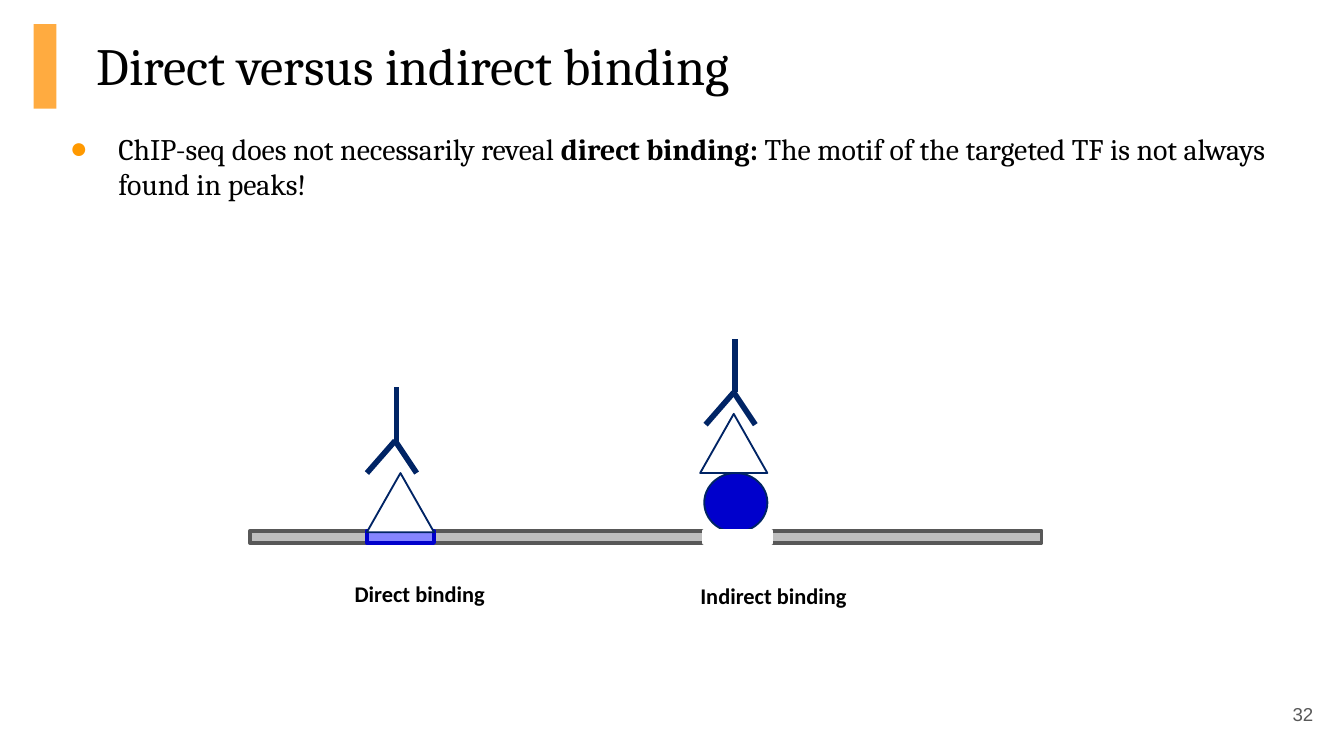
from dataclasses import dataclass

import pptx
import pptx.dml.color
import pptx.enum.shapes
import pptx.enum.text
import pptx.oxml.ns
import pptx.util
from lxml import etree

Inches = pptx.util.Inches
Pt = pptx.util.Pt
RGBColor = pptx.dml.color.RGBColor
Shape = pptx.enum.shapes.MSO_SHAPE
Align = pptx.enum.text.PP_ALIGN
Anchor = pptx.enum.text.MSO_ANCHOR
qn = pptx.oxml.ns.qn

BLACK = RGBColor(0x00, 0x00, 0x00)
WHITE = RGBColor(0xFF, 0xFF, 0xFF)
ORANGE = RGBColor(0xFF, 0xAB, 0x40)
BULLET_ORANGE = RGBColor(0xFF, 0x99, 0x00)
NAVY = RGBColor(0x00, 0x24, 0x65)
BLUE = RGBColor(0x00, 0x00, 0xCC)
LIGHT_BLUE = RGBColor(0x85, 0x85, 0xFF)
SILVER = RGBColor(0xBF, 0xBF, 0xBF)
GRAY = RGBColor(0x58, 0x58, 0x58)


@dataclass(frozen=True)
class Box:
    left: float
    top: float
    width: float
    height: float

    def lengths(self) -> list:
        return [Inches(v) for v in (self.left, self.top, self.width, self.height)]


@dataclass(frozen=True)
class Part:
    kind: Shape
    box: Box
    fill: RGBColor
    line: RGBColor | None = None
    line_width: float = 0


@dataclass(frozen=True)
class Label:
    text: str
    box: Box
    font: str
    size: float
    color: RGBColor
    bold: bool = False
    inset: float = 0.04
    anchor: Anchor = Anchor.TOP


@dataclass(frozen=True)
class Antibody:
    """A Y turned upside down, placed by the point where its arms meet."""
    x: float
    y: float


DNA_TOP, DNA_HEIGHT = 3.95, 0.09
FACTOR_TOP, FACTOR_HEIGHT = 3.52, 0.44

PARTS = [
    Part(Shape.RECTANGLE, Box(0.25, 0.18, 0.17, 0.63), ORANGE),
    Part(Shape.RECTANGLE, Box(1.86, DNA_TOP, 5.89, DNA_HEIGHT), SILVER, GRAY, 2),
    Part(Shape.RECTANGLE, Box(2.73, DNA_TOP, 0.5, DNA_HEIGHT), LIGHT_BLUE, BLUE, 2),
    Part(Shape.ISOSCELES_TRIANGLE, Box(2.73, FACTOR_TOP, 0.5, FACTOR_HEIGHT), WHITE, NAVY, 1),
    Part(Shape.OVAL, Box(5.24, FACTOR_TOP, 0.47, FACTOR_HEIGHT), BLUE, NAVY, 1),
    Part(Shape.RECTANGLE, Box(5.24, DNA_TOP, 0.5, DNA_HEIGHT), WHITE, WHITE, 2),
    Part(Shape.ISOSCELES_TRIANGLE, Box(5.21, FACTOR_TOP - FACTOR_HEIGHT, 0.5, FACTOR_HEIGHT),
         WHITE, NAVY, 1),
]
LABELS = [
    Label("Direct binding", Box(2.38, 4.28, 1.27, 0.27), "Calibri", 12, BLACK, bold=True),
    Label("Indirect binding", Box(4.95, 4.29, 1.39, 0.27), "Calibri", 12, BLACK, bold=True),
    Label("32", Box(9.5, 5.14, 0.37, 0.35), "Arial", 10, GRAY, inset=0.1, anchor=Anchor.MIDDLE),
]
ANTIBODIES = [Antibody(2.94, 3.28), Antibody(5.46, 2.92)]


def set_frame(frame, inset: float, anchor: Anchor = Anchor.TOP) -> None:
    frame.word_wrap = True
    frame.auto_size = pptx.enum.text.MSO_AUTO_SIZE.NONE
    frame.vertical_anchor = anchor
    frame.margin_left = frame.margin_right = Inches(inset)
    frame.margin_top = frame.margin_bottom = Inches(inset)


def set_font(paragraph, name: str, size: float, color: RGBColor) -> None:
    paragraph.font.name = name
    paragraph.font.size = Pt(size)
    paragraph.font.color.rgb = color


def add_title(slide, text: str, box: Box) -> None:
    title = slide.shapes.title
    title.left, title.top, title.width, title.height = box.lengths()
    set_frame(title.text_frame, 0.1)
    title.text_frame.text = text
    paragraph = title.text_frame.paragraphs[0]
    paragraph.alignment = Align.LEFT
    set_font(paragraph, "Cambria", 28, BLACK)


def add_statement(slide, box: Box, runs: list[tuple[str, bool]]) -> None:
    """Add a bulleted paragraph made of (text, bold) runs."""
    frame = slide.shapes.add_textbox(*box.lengths()).text_frame
    set_frame(frame, 0.04)
    paragraph = frame.paragraphs[0]
    properties = paragraph._p.get_or_add_pPr()
    properties.set("marL", str(Inches(0.5)))
    properties.set("indent", str(Inches(-0.36)))
    color = etree.SubElement(properties, qn("a:buClr"))
    etree.SubElement(color, qn("a:srgbClr"), val=str(BULLET_ORANGE))
    etree.SubElement(properties, qn("a:buFont"), typeface="Arial")
    etree.SubElement(properties, qn("a:buChar"), char="●")
    set_font(paragraph, "Cambria", 16, BLACK)
    for text, bold in runs:
        run = paragraph.add_run()
        run.text = text
        run.font.bold = bold


def add_part(slide, part: Part) -> None:
    shape = slide.shapes.add_shape(part.kind, *part.box.lengths())
    shape.shadow.inherit = False
    shape.fill.solid()
    shape.fill.fore_color.rgb = part.fill
    if part.line is None:
        shape.line.fill.background()
    else:
        shape.line.color.rgb = part.line
        shape.line.width = Pt(part.line_width)


def add_label(slide, label: Label) -> None:
    frame = slide.shapes.add_textbox(*label.box.lengths()).text_frame
    set_frame(frame, label.inset, label.anchor)
    frame.text = label.text
    paragraph = frame.paragraphs[0]
    paragraph.alignment = Align.RIGHT
    set_font(paragraph, label.font, label.size, label.color)
    paragraph.font.bold = label.bold


def add_antibody(slide, antibody: Antibody) -> None:
    x, y = antibody.x, antibody.y
    stem = x + 0.01
    for x1, y1, x2, y2 in (
        (x - 0.21, y + 0.24, x, y),
        (x + 0.16, y + 0.24, x, y),
        (stem, y, stem, y - 0.4),
    ):
        line = slide.shapes.add_connector(
            pptx.enum.shapes.MSO_CONNECTOR.STRAIGHT,
            Inches(x1), Inches(y1), Inches(x2), Inches(y2))
        line.line.color.rgb = NAVY
        line.line.width = Pt(3)
        etree.SubElement(line._element.spPr, qn("a:effectLst"))


def main() -> None:
    deck = pptx.Presentation()
    deck.slide_width = Inches(10)
    deck.slide_height = deck.slide_width * 9 // 16
    slide = deck.slides.add_slide(deck.slide_layouts[5])
    add_title(slide, "Direct versus indirect binding", Box(0.62, 0.15, 9.32, 0.63))
    add_statement(slide, Box(0.34, 0.93, 9.32, 0.87), [
        ("ChIP-seq does not necessarily reveal ", False),
        ("direct binding: ", True),
        ("The motif of the targeted TF is not always found in peaks!", False),
    ])
    for part in PARTS:
        add_part(slide, part)
    for label in LABELS:
        add_label(slide, label)
    for antibody in ANTIBODIES:
        add_antibody(slide, antibody)
    deck.save("out.pptx")


if __name__ == "__main__":
    main()
